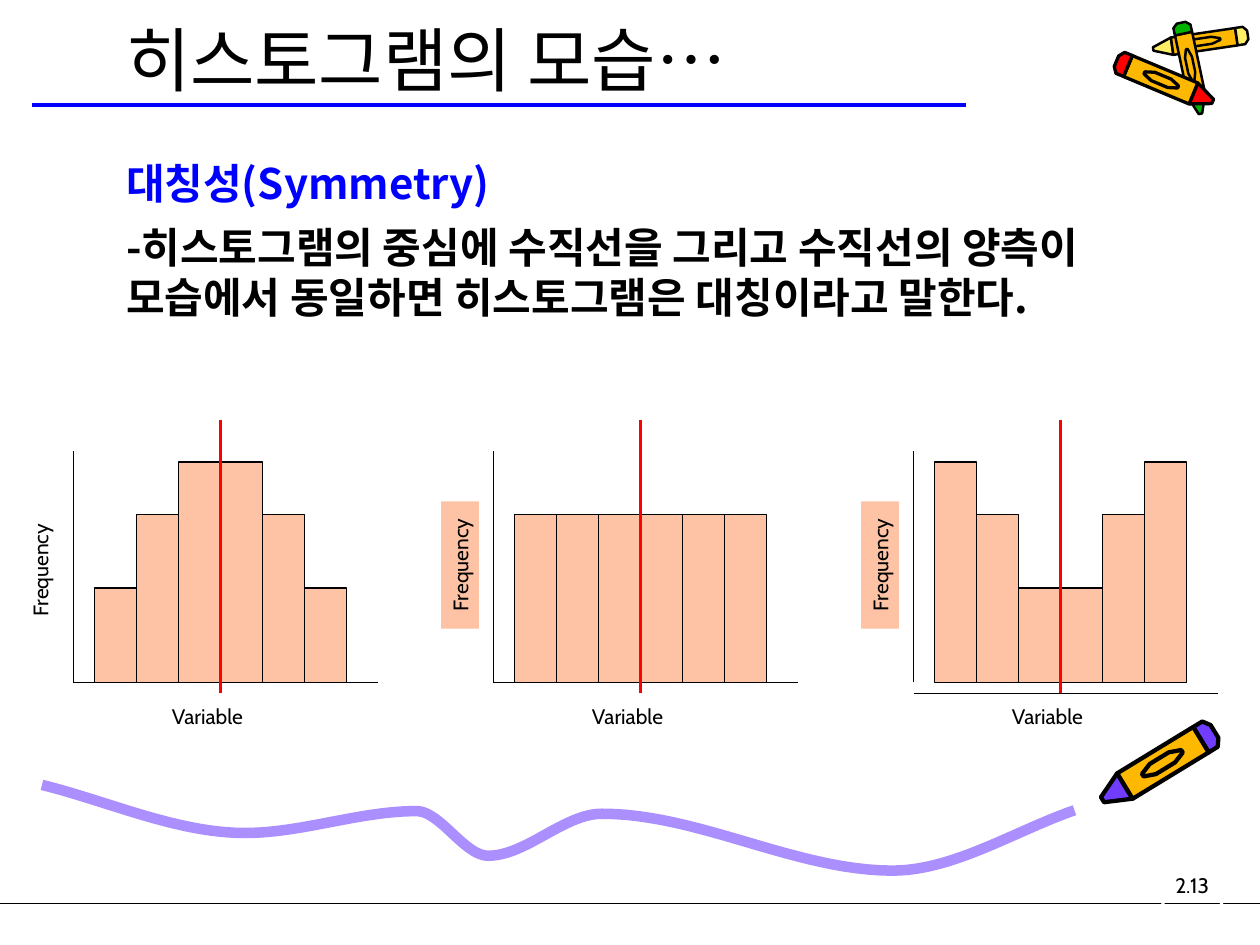
from math import hypot

from lxml import etree
from pptx import Presentation
from pptx.dml.color import RGBColor
from pptx.enum.shapes import MSO_CONNECTOR, MSO_SHAPE
from pptx.enum.text import MSO_ANCHOR, MSO_AUTO_SIZE, PP_ALIGN
from pptx.oxml.ns import qn
from pptx.util import Pt

STRAIGHT = MSO_CONNECTOR.STRAIGHT
RECT, OVAL = MSO_SHAPE.RECTANGLE, MSO_SHAPE.OVAL
TOP, MIDDLE = MSO_ANCHOR.TOP, MSO_ANCHOR.MIDDLE
LEFT, CENTER = PP_ALIGN.LEFT, PP_ALIGN.CENTER
NO_FIT = MSO_AUTO_SIZE.NONE

BLACK = RGBColor(0x00, 0x00, 0x00)
WHITE = RGBColor(0xFF, 0xFF, 0xFF)
BLUE = RGBColor(0x00, 0x00, 0xFF)
RED = RGBColor(0xFF, 0x00, 0x00)
PEACH = RGBColor(0xFD, 0xC3, 0xA4)
LILAC = RGBColor(0xAC, 0x8F, 0xFF)
PURPLE = RGBColor(0x70, 0x3D, 0xFF)
AMBER = RGBColor(0xFF, 0xB8, 0x00)
CREAM = RGBColor(0xFF, 0xEF, 0x66)
GREEN = RGBColor(0x00, 0xB2, 0x00)

HANGUL, LATIN = "Noto Sans CJK KR", "Cabin"

BAR_WIDTH, BASE = 24, 390
PLOT_LEFT, PLOT_STEP = 42, 240
LOW, MID, HIGH = 54, 96, 126


def add_text(p, text, size=12, font=LATIN, color=BLACK, bold=False, align=CENTER):
    p.alignment = align
    r = p.add_run()
    r.text = text
    r.font.size, r.font.name, r.font.bold = Pt(size), font, bold
    r.font.color.rgb = color
    etree.SubElement(r.font._element, qn("a:ea")).set("typeface", font)


def smooth_curve(knots, steps=24):
    nodes = [knots[0][:2]]
    for (x0, y0, slope0), (x1, y1, slope1) in zip(knots, knots[1:]):
        dx = x1 - x0
        for n in range(1, steps + 1):
            t = n / steps
            ease = t * t * (3 - 2 * t)
            bend = slope0 * t * (1 - t) ** 2 - slope1 * t * t * (1 - t)
            nodes.append((x0 + dx * t, y0 + (y1 - y0) * ease + dx * bend))
    return nodes


class SlideBuilder:
    def __init__(self, slide):
        self.s = slide

    def paint(self, sp, fill=None, line=None, width=0.75):
        sp.shadow.inherit = False
        if fill is None:
            sp.fill.background()
        else:
            sp.fill.solid()
            sp.fill.fore_color.rgb = fill
        if line is None:
            sp.line.fill.background()
        else:
            sp.line.color.rgb = line
            sp.line.width = Pt(width)
        return sp

    def line(self, x1, y1, x2, y2, color=BLACK, width=0.75):
        sp = self.s.shapes.add_connector(STRAIGHT, Pt(x1), Pt(y1), Pt(x2), Pt(y2))
        sp.line.color.rgb = color
        sp.line.width = Pt(width)
        etree.SubElement(sp._element.spPr, qn("a:effectLst"))

    def shape(self, kind, x, y, w, h, **style):
        return self.paint(self.s.shapes.add_shape(kind, Pt(x), Pt(y), Pt(w), Pt(h)), **style)

    def outline(self, nodes, close=True, **style):
        start, *rest = [(Pt(x), Pt(y)) for x, y in nodes]
        fb = self.s.shapes.build_freeform(*start)
        fb.add_line_segments(rest, close=close)
        return self.paint(fb.convert_to_shape(), **style)

    def crayon(self, tip, end, thickness, color):
        (x0, y0), (x1, y1) = tip, end
        dx, dy = x1 - x0, y1 - y0
        across = thickness / hypot(dx, dy)
        parts = [
            (color, [(0, 0.1), (0.2, 0.5)]),
            (AMBER, [(0.2, 0.5), (0.88, 0.5)]),
            (color, [(0.88, 0.5), (0.96, 0.5), (1, 0.25)]),
            (AMBER, [(0.36, 0.05), (0.45, 0.2), (0.62, 0.2), (0.71, 0.05)]),
        ]
        for fill, edge in parts:
            mirrored = [(along, -side) for along, side in reversed(edge)]
            nodes = [(x0 + dx * along - dy * across * side, y0 + dy * along + dx * across * side)
                     for along, side in edge + mirrored]
            self.outline(nodes, fill=fill, line=BLACK, width=thickness / 7)

    def label(self, text, x, y, w, h, kind=RECT, inset=3.6, rotation=0, **style):
        if style:
            sp = self.shape(kind, x, y, w, h, **style)
        else:
            sp = self.s.shapes.add_textbox(Pt(x), Pt(y), Pt(w), Pt(h))
        sp.rotation = rotation
        tf = sp.text_frame
        tf.word_wrap = False
        tf.vertical_anchor = MIDDLE
        tf.margin_left = tf.margin_right = tf.margin_top = tf.margin_bottom = Pt(inset)
        add_text(tf.paragraphs[0], text)

    def placeholder(self, index, x, y, w, h, anchor, paragraphs, before=0, spacing=None, **style):
        sp = self.s.placeholders[index]
        sp.left, sp.top, sp.width, sp.height = Pt(x), Pt(y), Pt(w), Pt(h)
        tf = sp.text_frame
        tf.auto_size = NO_FIT
        tf.vertical_anchor = anchor
        for i, (text, color) in enumerate(paragraphs):
            p = tf.add_paragraph() if i else tf.paragraphs[0]
            p.space_before = Pt(before)
            p.line_spacing = spacing
            pPr = p._p.get_or_add_pPr()
            pPr.set("marL", "0")
            pPr.set("indent", "0")
            etree.SubElement(pPr, qn("a:buNone"))
            add_text(p, text, font=HANGUL, color=color, align=LEFT, **style)

    def histogram(self, x, heights, axis_y=BASE, label_y=312, **label_style):
        first_bar = x + BAR_WIDTH / 2
        center = first_bar + BAR_WIDTH * len(heights) / 2
        self.line(x, axis_y, x + 174, axis_y)
        for i, height in enumerate(heights):
            self.shape(RECT, first_bar + BAR_WIDTH * i, BASE - height, BAR_WIDTH, height,
                       fill=PEACH, line=BLACK)
        self.line(center, 240, center, 396, RED, 1.5)
        self.line(x, BASE, x, 258)
        self.label("Frequency", x - 55.5, label_y, 72.7, 21.6, rotation=270, **label_style)
        self.label("Variable", x + 46.3, 398.5, 60.5, 21.6)


def main():
    prs = Presentation()
    prs.slide_width, prs.slide_height = Pt(720), Pt(540)
    b = SlideBuilder(prs.slides.add_slide(prs.slide_layouts[1]))

    b.line(0, 516.2, 720, 516.2)
    b.line(18, 60, 552, 60, BLUE, 2.5)

    b.crayon(tip=(659, 28), end=(713, 20), thickness=10, color=CREAM)
    b.crayon(tip=(686, 65), end=(675, 13), thickness=10, color=GREEN)
    b.crayon(tip=(693, 58), end=(638, 35), thickness=13, color=RED)
    b.crayon(tip=(630, 457), end=(694, 418), thickness=17, color=PURPLE)

    scribble_knots = [(24, 448.5, 0.25), (140, 476, 0), (238, 463.5, 0), (279, 489, 0),
                      (344, 465, 0), (510, 497.5, 0), (614, 463, -0.35)]
    b.outline(smooth_curve(scribble_knots), close=False, line=LILAC, width=6)

    b.placeholder(0, 64.8, 12, 592.5, 43.2, MIDDLE, [("히스토그램의 모습…", BLACK)], size=40)
    b.placeholder(1, 64.8, 86.4, 592.5, 281.5, TOP, [
        ("대칭성(Symmetry)", BLUE),
        ("-히스토그램의 중심에 수직선을 그리고 수직선의 양측이 모습에서 동일하면 "
         "히스토그램은 대칭이라고 말한다.", BLACK),
    ], before=8, spacing=Pt(28.6), size=24, bold=True)
    b.label("2.13", 661.5, 486, 39.6, 39.6, kind=OVAL, inset=0.72, line=WHITE, width=1.5)

    histograms = [
        ([LOW, MID, HIGH, HIGH, MID, LOW], {"label_y": 315}),
        ([MID] * 6, {"fill": PEACH}),
        ([HIGH, MID, LOW, LOW, MID, HIGH], {"fill": PEACH, "axis_y": 396.1}),
    ]
    for i, (heights, options) in enumerate(histograms):
        b.histogram(PLOT_LEFT + PLOT_STEP * i, heights, **options)
    prs.save("out.pptx")


if __name__ == "__main__":
    main()
